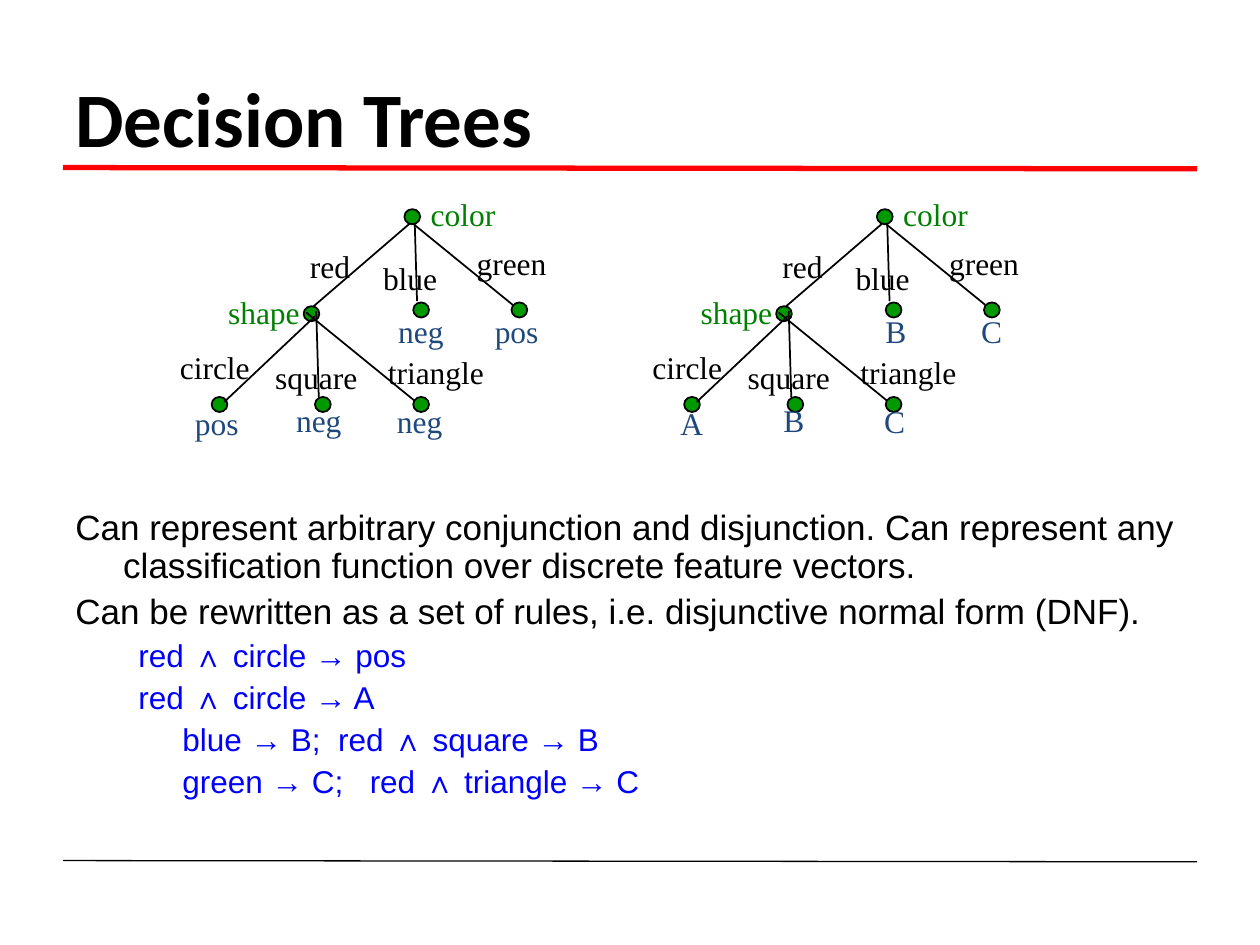
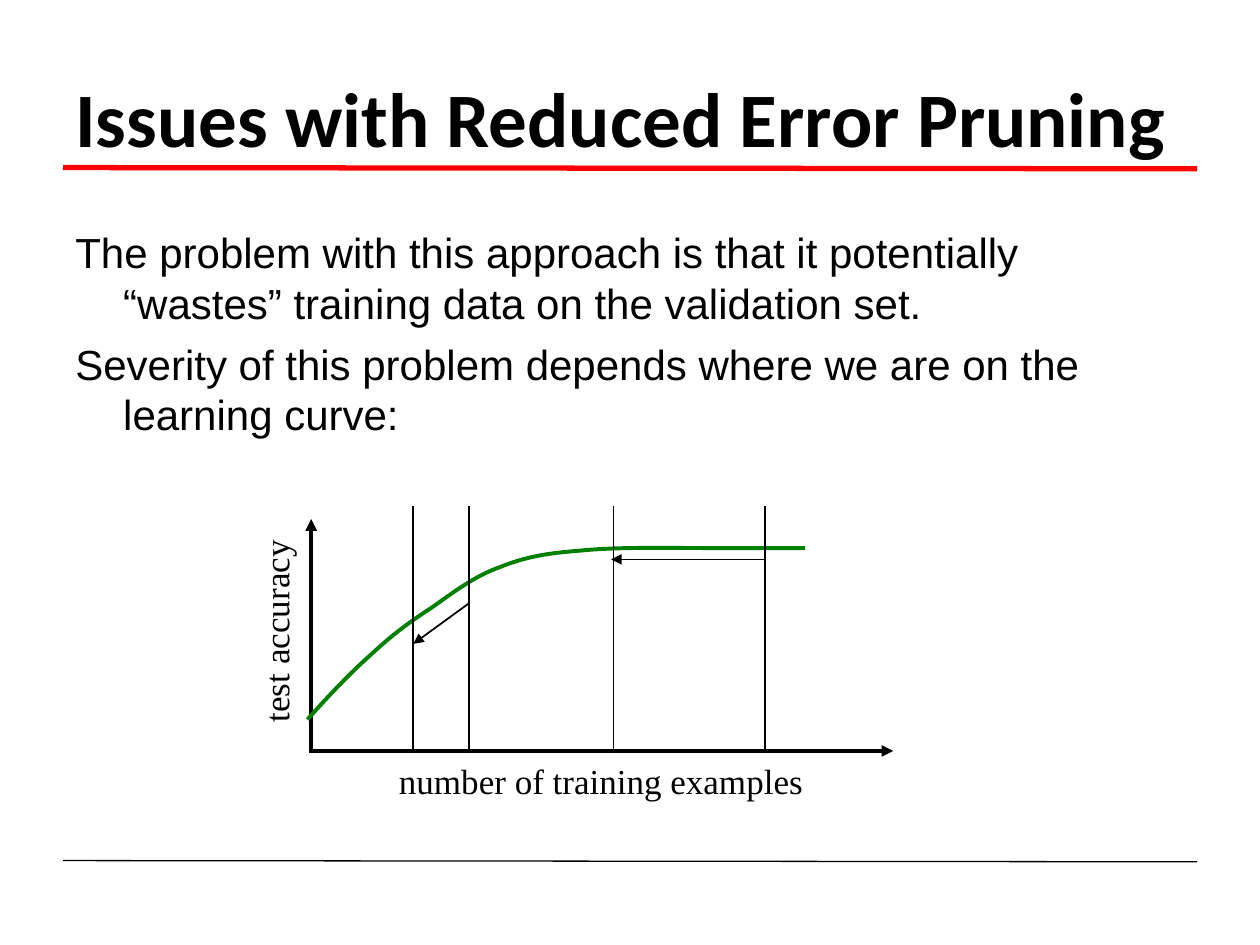
from pptx import Presentation
from pptx.dml.color import RGBColor
from pptx.enum.shapes import MSO_CONNECTOR, MSO_SHAPE
from pptx.enum.text import MSO_ANCHOR, MSO_AUTO_SIZE, PP_ALIGN
from pptx.oxml.ns import qn
from pptx.oxml.xmlchemy import OxmlElement
from pptx.util import Inches, Pt

COLS, ROWS = 100, 75
BLACK, RED, BLUE, NAVY = "000000", "FF0000", "0000FF", "1F497D"
GREEN, LEAF = "008000", "009900"
HEAD, BODY, SERIF = "Calibri", "Arial", "Times New Roman"


def tint(code):
    return RGBColor.from_string(code)


class Deck:
    def __init__(self):
        self.prs = Presentation()
        self.prs.slide_width = Inches(10)
        self.prs.slide_height = Inches(7.5)
        self.slide = None

    def col(self, n):
        return round(self.prs.slide_width * n / COLS)

    def row(self, n):
        return round(self.prs.slide_height * n / ROWS)

    def page(self, title):
        self.slide = self.prs.slides.add_slide(self.prs.slide_layouts[6])
        self.line(5, 13.3, 95, 13.4, RED, 3)
        self.line(5, 68.3, 95, 68.4, BLACK, 0.75)
        frame = self.frame(5, 3, 90, 12.5)
        frame.vertical_anchor = MSO_ANCHOR.MIDDLE
        frame.text = title
        self.font(frame.paragraphs[0], HEAD, 44, BLACK, True)

    def frame(self, x, y, w, h):
        box = self.slide.shapes.add_textbox(
            self.col(x), self.row(y), self.col(w), self.row(h))
        box.text_frame.word_wrap = True
        return box.text_frame

    def font(self, para, name, size, color, bold=False):
        for run in para.runs:
            run.font.name = name
            run.font.size = Pt(size)
            run.font.bold = bold
            run.font.color.rgb = tint(color)

    def para(self, frame, text, size, color, left, first, space, lead=1.0, gap=0):
        used = frame.paragraphs[0].runs
        para = frame.add_paragraph() if used else frame.paragraphs[0]
        start, mark, rest = text.partition("; ")
        para.text = start + mark.strip()
        if mark:
            blank = para.add_run()
            blank.text = " "
            blank.font._element.set("spc", str(gap * 100))
            para.add_run().text = rest
        self.font(para, BODY, size, color)
        para.line_spacing = lead
        para.space_before = Pt(space)
        props = para._p.get_or_add_pPr()
        props.set("marL", str(self.col(left)))
        props.set("indent", str(self.col(first)))

    def label(self, text, mid, top, w, color=BLACK, size=18, turn=0):
        box = self.slide.shapes.add_textbox(
            self.col(mid - w / 2), self.row(top), self.col(w), self.row(size * 0.22))
        box.rotation = turn
        frame = box.text_frame
        frame.word_wrap = False
        frame.auto_size = MSO_AUTO_SIZE.SHAPE_TO_FIT_TEXT
        frame.margin_left = frame.margin_right = self.col(0.5)
        frame.text = text
        frame.paragraphs[0].alignment = PP_ALIGN.CENTER
        self.font(frame.paragraphs[0], SERIF, size, color)

    def line(self, x1, y1, x2, y2, color=BLACK, width=1, arrow=False):
        link = self.slide.shapes.add_connector(
            MSO_CONNECTOR.STRAIGHT,
            self.col(x1), self.row(y1), self.col(x2), self.row(y2))
        link.line.color.rgb = tint(color)
        link.line.width = Pt(width)
        if arrow:
            tip = OxmlElement("a:tailEnd")
            tip.set("type", "triangle")
            link.line._get_or_add_ln().append(tip)
        link._element.spPr.append(OxmlElement("a:effectLst"))

    def dot(self, x, y):
        node = self.slide.shapes.add_shape(
            MSO_SHAPE.OVAL, self.col(x), self.row(y), self.col(1.25), self.row(1.2))
        node.shadow.inherit = False
        node.fill.solid()
        node.fill.fore_color.rgb = tint(LEAF)
        node.line.color.rgb = tint(BLACK)
        node.line.width = Pt(1)

    def curve(self, points, color, width):
        start, *rest = [(self.col(x), self.row(y)) for x, y in points]
        form = self.slide.shapes.build_freeform(*start)
        form.add_line_segments(rest, close=False)
        shape = form.convert_to_shape()
        shape.shadow.inherit = False
        shape.fill.background()
        shape.line.color.rgb = tint(color)
        shape.line.width = Pt(width)
        steps = list(shape._element.iter(qn("a:lnTo")))
        for i in range(0, len(steps), 3):
            bend = OxmlElement("a:cubicBezTo")
            steps[i].addprevious(bend)
            for step in steps[i:i + 3]:
                bend.append(step[0])
                step.getparent().remove(step)

    def fan(self, x, y, reach):
        self.line(x, y, x - reach, y + 6.8)
        self.line(x + 0.1, y - 0.4, x + 0.3, y + 6.4)
        self.line(x - 0.7, y - 0.3, x + 7.9, y + 6.7)

    def tree(self, x, leaves, nudge=0):
        for left, top in ((24.1, 24.3), (32.8, 24), (40.6, 24)):
            self.dot(x + left, top)
        self.fan(x + 32.8, 17.5, 7.9)
        self.dot(x + 32.1, 16.6)
        for left in (16.8, 25, 32.8):
            self.dot(x + left, 31.5)
        self.fan(x + 25, 25.1, 7.2)
        for text, mid, top, w, color in WORDS:
            self.label(text, x + mid, top, w, color)
        for text, (mid, top) in zip(leaves, SPOTS):
            self.label(text, x + mid + nudge, top, 5.5, NAVY)


WORDS = [
    ("color", 36.75, 15, 7.1, GREEN), ("red", 26.2, 19.1, 5.2, BLACK),
    ("blue", 32.55, 20.1, 6.3, BLACK), ("green", 40.6, 18.9, 7.5, BLACK),
    ("shape", 20.95, 22.8, 7.7, GREEN), ("circle", 17.05, 27.1, 7.5, BLACK),
    ("square", 25.1, 27.9, 8.5, BLACK), ("triangle", 34.6, 27.5, 9.6, BLACK),
]
SPOTS = [(33.4, 24.3), (41, 24.3), (17.2, 31.6), (25.3, 31.3), (33.3, 31.4)]
RULES = [
    ("red ∧ circle → pos", 5, 0), ("red ∧ circle → A", 5, 0),
    ("blue → B; red ∧ square → B", 8.5, 5),
    ("green → C; red ∧ triangle → C", 8.5, 10),
]
CURVE = [
    (24.4, 57.1), (26.1, 55.2), (27.8, 53.4), (29.5, 51.9), (31.1, 50.4),
    (32.6, 49.3), (34.3, 48.2), (36, 47), (37.7, 45.7), (39.7, 45),
    (41.7, 44.2), (43.4, 43.9), (46.1, 43.7), (48.9, 43.4), (53.2, 43.5),
    (56.2, 43.5), (59.2, 43.5), (61.5, 43.5), (63.9, 43.5),
]


def trees(deck):
    deck.page("Decision Trees")
    frame = deck.frame(5, 40, 90, 27)
    for text in (
        "Can represent arbitrary conjunction and disjunction. Can represent any "
        "classification function over discrete feature vectors.",
        "Can be rewritten as a set of rules, i.e. disjunctive normal form (DNF).",
    ):
        deck.para(frame, text, 20, BLACK, 3.8, -3.8, 5, 0.9)
    for text, first, gap in RULES:
        deck.para(frame, text, 18, BLUE, 0, first, 4.5, 0.9, gap)
    deck.tree(0, ["neg", "pos", "pos", "neg", "neg"])
    deck.tree(37.5, "BCABC", 0.2)


def issues(deck):
    deck.page("Issues with Reduced Error Pruning")
    frame = deck.frame(5, 17.5, 90, 49.5)
    for text in (
        "The problem with this approach is that it potentially “wastes” "
        "training data on the validation set.",
        "Severity of this problem depends where we are on the learning curve:",
    ):
        deck.para(frame, text, 24, BLACK, 3.8, -3.8, 6)
    deck.line(24.7, 59.6, 24.7, 41.2, width=2.25, arrow=True)
    deck.line(24.5, 59.6, 70.9, 59.6, width=2.25, arrow=True)
    deck.label("test accuracy", 21.9, 47.9, 16.4, size=20, turn=270)
    deck.curve(CURVE, GREEN, 2.25)
    deck.label("number of training examples", 47.7, 59.8, 34.1, size=20)
    for x in (32.8, 37.2, 48.7, 60.7):
        deck.line(x, 40.2, x, 59.6)
    deck.line(37.2, 47.9, 32.8, 51.1, arrow=True)
    deck.line(60.7, 44.4, 48.5, 44.4, arrow=True)


def main():
    deck = Deck()
    trees(deck)
    issues(deck)
    deck.prs.save("out.pptx")


if __name__ == "__main__":
    main()
